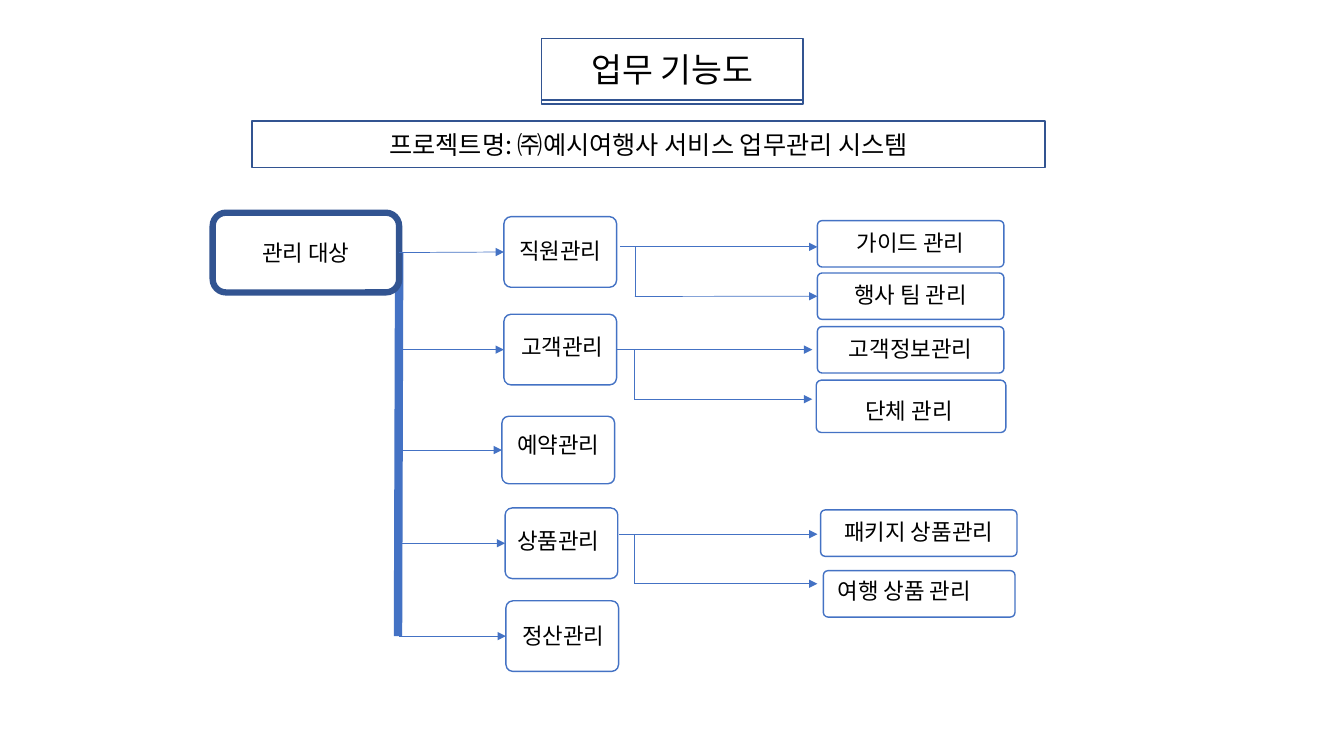
from lxml import etree
from pptx import Presentation
from pptx.dml import color
from pptx.enum import shapes, text
from pptx.oxml import ns
from pptx.util import Cm, Pt

FONT = "Noto Sans CJK KR"
BLUE, NAVY, WHITE, BLACK = "4472C4", "325491", "FFFFFF", "000000"

HEADING = ("업무 기능도", (13.64, 0.97, 6.6, 1.55))
HEADING_BACK = (13.64, 1.07, 6.6, 1.55)
PROJECT = ("프로젝트명: ㈜예시여행사 서비스 업무관리 시스템", (6.35, 3.05, 19.99, 1.17))
TARGET = ("관리 대상", (5.36, 5.36, 4.7, 2.01))
FUNCTIONS = [
    ("직원관리", (12.7, 5.46, 2.84, 1.78), (0, 0)),
    ("고객관리", (12.7, 7.92, 2.84, 1.78), (0.05, -0.03)),
    ("예약관리", (12.65, 10.49, 2.84, 1.7), (0, -0.1)),
    ("상품관리", (12.73, 12.8, 2.84, 1.78), (-0.08, -0.02)),
    ("정산관리", (12.75, 15.14, 2.84, 1.78), (0.03, 0.02)),
]
TASKS = [
    ("가이드 관리", (20.6, 5.56, 4.7, 1.17), (0, 0)),
    ("행사 팀 관리", (20.6, 6.88, 4.7, 1.17), (0, 0)),
    ("고객정보관리", (20.6, 8.23, 4.7, 1.17), (0, 0)),
    ("단체 관리", (20.57, 9.58, 4.78, 1.32), (-0.05, 0.14)),
    ("패키지 상품관리", (20.68, 12.85, 4.95, 1.17), (0, 0)),
    ("여행 상품 관리", (20.75, 14.38, 4.83, 1.17), (0.1, -0.03)),
]
LEFT_ALIGNED = "여행 상품 관리"
FORKS = [
    (15.62, 16.0, 20.6, 6.22),
    (15.57, 15.98, 20.47, 8.81),
    (15.6, 15.98, 20.6, 13.46),
]
FORK_DROP = 1.25
TRUNK = (10.06, 6.36, 10.03, 16.03)


def rgb(value):
    return color.RGBColor.from_string(value)


def apply(target, values):
    for key, value in values.items():
        setattr(target, key, value)


def place(shape, at):
    apply(shape, dict(zip(("left", "top", "width", "height"), map(Cm, at))))


def paint(shape, line, weight, alpha=None):
    shape.fill.solid()
    shape.fill.fore_color.rgb = rgb(WHITE)
    shape.line.color.rgb = rgb(line)
    shape.line.width = Pt(weight)
    if alpha:
        srgb = shape._element.spPr.find(ns.qn("a:solidFill"))[0]
        etree.SubElement(srgb, ns.qn("a:alpha"), val=str(alpha * 1000))


def write(shape, words, size, nudge=(0, 0), align=text.PP_ALIGN.CENTER, spacing=1.0):
    dx, dy = nudge
    frame = shape.text_frame
    apply(frame, {
        "text": words,
        "word_wrap": True,
        "auto_size": text.MSO_AUTO_SIZE.NONE,
        "vertical_anchor": text.MSO_ANCHOR.MIDDLE,
        "margin_left": Cm(0.13 + max(2 * dx, 0)),
        "margin_right": Cm(0.13 + max(-2 * dx, 0)),
        "margin_top": Cm(0.09 + max(2 * dy, 0)),
        "margin_bottom": Cm(0.09 + max(-2 * dy, 0)),
    })
    paragraph = frame.paragraphs[0]
    apply(paragraph, {"alignment": align, "line_spacing": spacing})
    font = paragraph.runs[0].font
    apply(font, {"size": Pt(size), "name": FONT})
    font.color.rgb = rgb(BLACK)
    etree.SubElement(font._element, ns.qn("a:ea"), typeface=FONT)


def add_box(slide, kind, at):
    box = slide.shapes.add_shape(kind, *map(Cm, at))
    box.shadow.inherit = False
    return box


def add_node(slide, words, at, nudge):
    node = add_box(slide, shapes.MSO_SHAPE.ROUNDED_RECTANGLE, at)
    node.adjustments[0] = 0.1
    paint(node, BLUE, 1, 90)
    align = text.PP_ALIGN.LEFT if words == LEFT_ALIGNED else text.PP_ALIGN.CENTER
    write(node, words, 16, nudge, align, 0.9)
    return node


def add_line(slide, ends, weight=0.5, arrow=False):
    line = slide.shapes.add_connector(shapes.MSO_CONNECTOR.STRAIGHT, *map(Cm, ends))
    line.line.color.rgb = rgb(BLUE)
    line.line.width = Pt(weight)
    if arrow:
        etree.SubElement(line.line._get_or_add_ln(), ns.qn("a:tailEnd"), type="triangle")
    etree.SubElement(line._element.spPr, ns.qn("a:effectLst"))
    return line


def main():
    deck = Presentation()
    apply(deck, {"slide_width": Cm(33.87), "slide_height": Cm(19.05)})
    slide = deck.slides.add_slide(deck.slide_layouts[5])

    paint(add_box(slide, shapes.MSO_SHAPE.RECTANGLE, HEADING_BACK), NAVY, 1)
    heading = slide.shapes.title
    place(heading, HEADING[1])
    paint(heading, NAVY, 1)
    write(heading, HEADING[0], 24)
    slide.shapes._spTree.append(heading._element)

    project = add_box(slide, shapes.MSO_SHAPE.RECTANGLE, PROJECT[1])
    paint(project, NAVY, 1)
    write(project, PROJECT[0], 18)

    functions = [add_node(slide, *function) for function in FUNCTIONS]
    tasks = [add_node(slide, *task) for task in TASKS]

    trunk = add_line(slide, TRUNK, 6)
    target = add_box(slide, shapes.MSO_SHAPE.ROUNDED_RECTANGLE, TARGET[1])
    paint(target, NAVY, 4.5)
    write(target, TARGET[0], 16)
    trunk.begin_connect(target, 3)

    for function in functions:
        middle = (function.top + function.height / 2) / Cm(1)
        branch = add_line(slide, (TRUNK[0], middle, function.left / Cm(1), middle), arrow=True)
        branch.end_connect(function, 1)
        if function is functions[0]:
            branch.begin_connect(target, 3)

    lower_arms = []
    upper_arms = []
    for start, stem, end, top in FORKS:
        bottom = top + FORK_DROP
        upper_arms.append(add_line(slide, (start, top, end, top), arrow=True))
        lower_arms.append(add_line(slide, (stem, bottom, end, bottom), arrow=True))
        add_line(slide, (stem, top, stem, bottom))
    upper_arms[1].begin_connect(functions[1], 3)
    lower_arms[0].end_connect(tasks[1], 1)

    deck.save("out.pptx")


if __name__ == "__main__":
    main()
